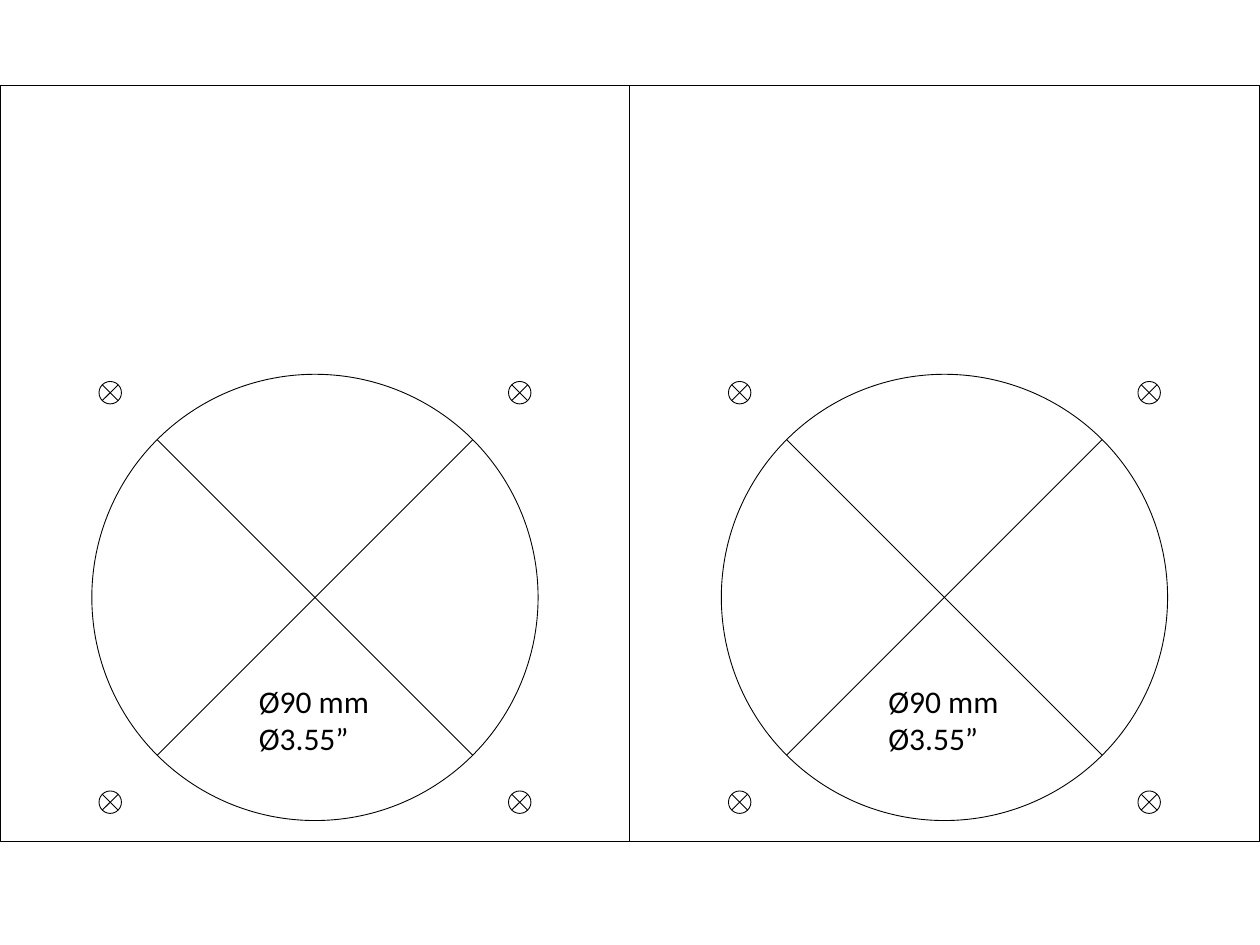
"""Draw two side-by-side drilling templates with a main hole and four screw holes."""
import itertools
import math
from dataclasses import dataclass

import pptx
import pptx.dml.color
import pptx.enum.shapes
import pptx.enum.text
import pptx.oxml.ns
import pptx.util
from lxml import etree

Pt = pptx.util.Pt
SHAPE = pptx.enum.shapes.MSO_SHAPE


@dataclass(frozen=True)
class Theme:
    ink: str = "000000"
    font: str = "Calibri"
    text_size: float = 18
    line_width: float = 0.5


class Sheet:
    def __init__(self, slide, theme):
        self.s = slide
        self.theme = theme
        self.ink = pptx.dml.color.RGBColor.from_string(theme.ink)

    def stroke(self, sp):
        sp.line.color.rgb = self.ink
        sp.line.width = Pt(self.theme.line_width)

    def outline(self, kind, x, y, w, h):
        sp = self.s.shapes.add_shape(kind, Pt(x), Pt(y), Pt(w), Pt(h))
        sp.shadow.inherit = False
        sp.fill.background()
        self.stroke(sp)

    def line(self, x1, y1, x2, y2):
        kind = pptx.enum.shapes.MSO_CONNECTOR.STRAIGHT
        c = self.s.shapes.add_connector(kind, Pt(x1), Pt(y1), Pt(x2), Pt(y2))
        self.stroke(c)
        etree.SubElement(c._element.spPr, pptx.oxml.ns.qn("a:effectLst"))

    def text(self, x, y, w, h, lines):
        tf = self.s.shapes.add_textbox(Pt(x), Pt(y), Pt(w), Pt(h)).text_frame
        frame = {"word_wrap": False,
                 "auto_size": pptx.enum.text.MSO_AUTO_SIZE.SHAPE_TO_FIT_TEXT}
        for name, value in frame.items():
            setattr(tf, name, value)
        tf.text = "\n".join(lines)
        fmt = {"name": self.theme.font, "size": Pt(self.theme.text_size)}
        for p in tf.paragraphs:
            for r in p.runs:
                for name, value in fmt.items():
                    setattr(r.font, name, value)
                r.font.color.rgb = self.ink

    def hole(self, cx, cy, radius):
        self.outline(SHAPE.OVAL, cx - radius, cy - radius, 2 * radius, 2 * radius)
        d = radius * math.sqrt(0.5)
        for side in (1, -1):
            self.line(cx - d, cy - side * d, cx + d, cy + side * d)


PANEL_W, PANEL_H, PANEL_TOP = 360, 432, 48.8
PANEL_STEP = 359.7
CENTRE_Y = 341.4
MAIN_RADIUS, SCREW_RADIUS, SCREW_OFFSET = 127.5, 6.4, 117

prs = pptx.Presentation()
prs.slide_width, prs.slide_height = Pt(720), Pt(540)
sheet = Sheet(prs.slides.add_slide(prs.slide_layouts[6]), Theme())

for left in (0, PANEL_STEP):
    cx = left + PANEL_W / 2
    sheet.outline(SHAPE.RECTANGLE, left, PANEL_TOP, PANEL_W, PANEL_H)
    sheet.text(left + 140.8, 386, 78.5, 51, ["Ø90 mm", "Ø3.55”"])
    sheet.hole(cx, CENTRE_Y, MAIN_RADIUS)
    for dx, dy in itertools.product((-SCREW_OFFSET, SCREW_OFFSET), repeat=2):
        sheet.hole(cx + dx, CENTRE_Y + dy, SCREW_RADIUS)

prs.save("out.pptx")
